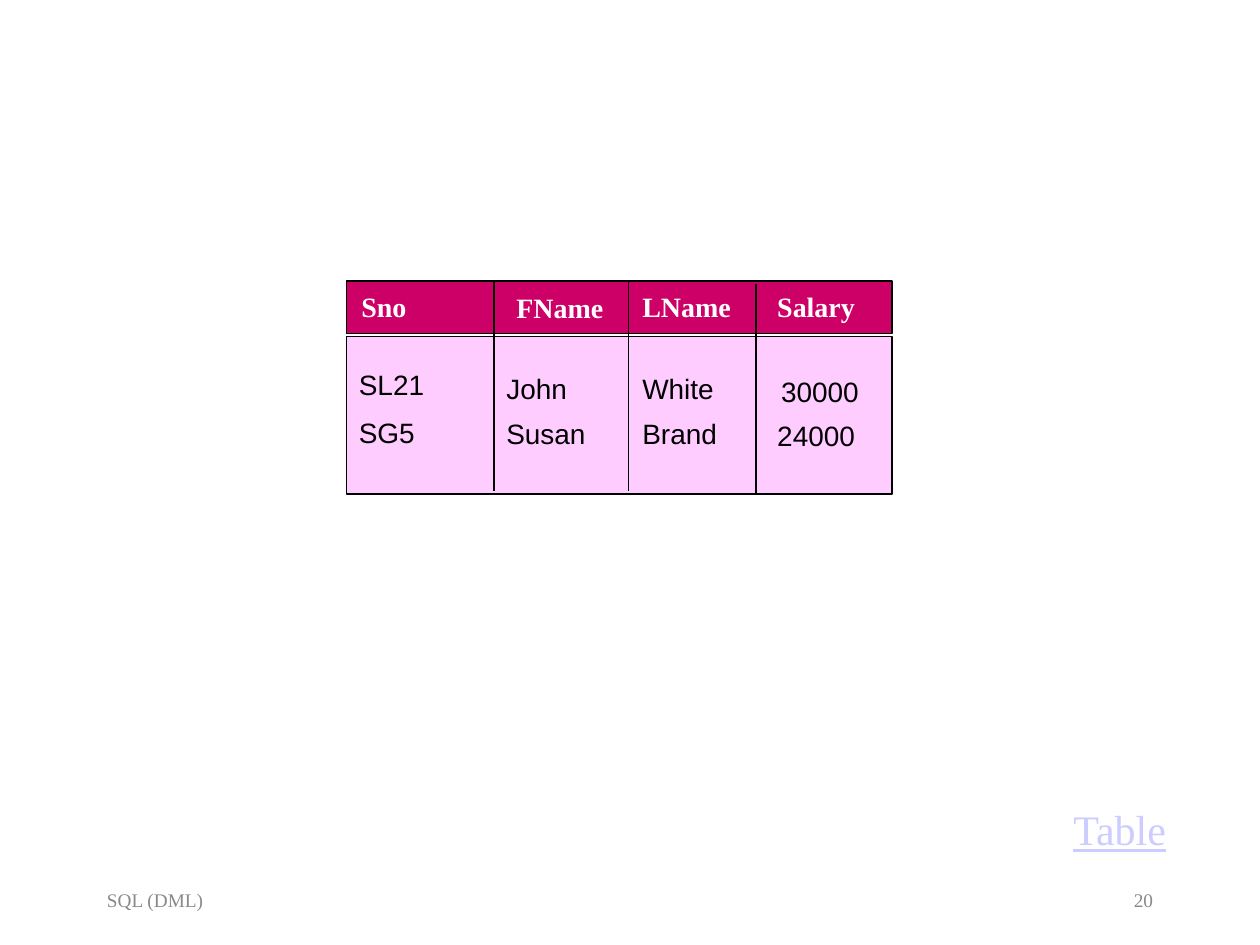
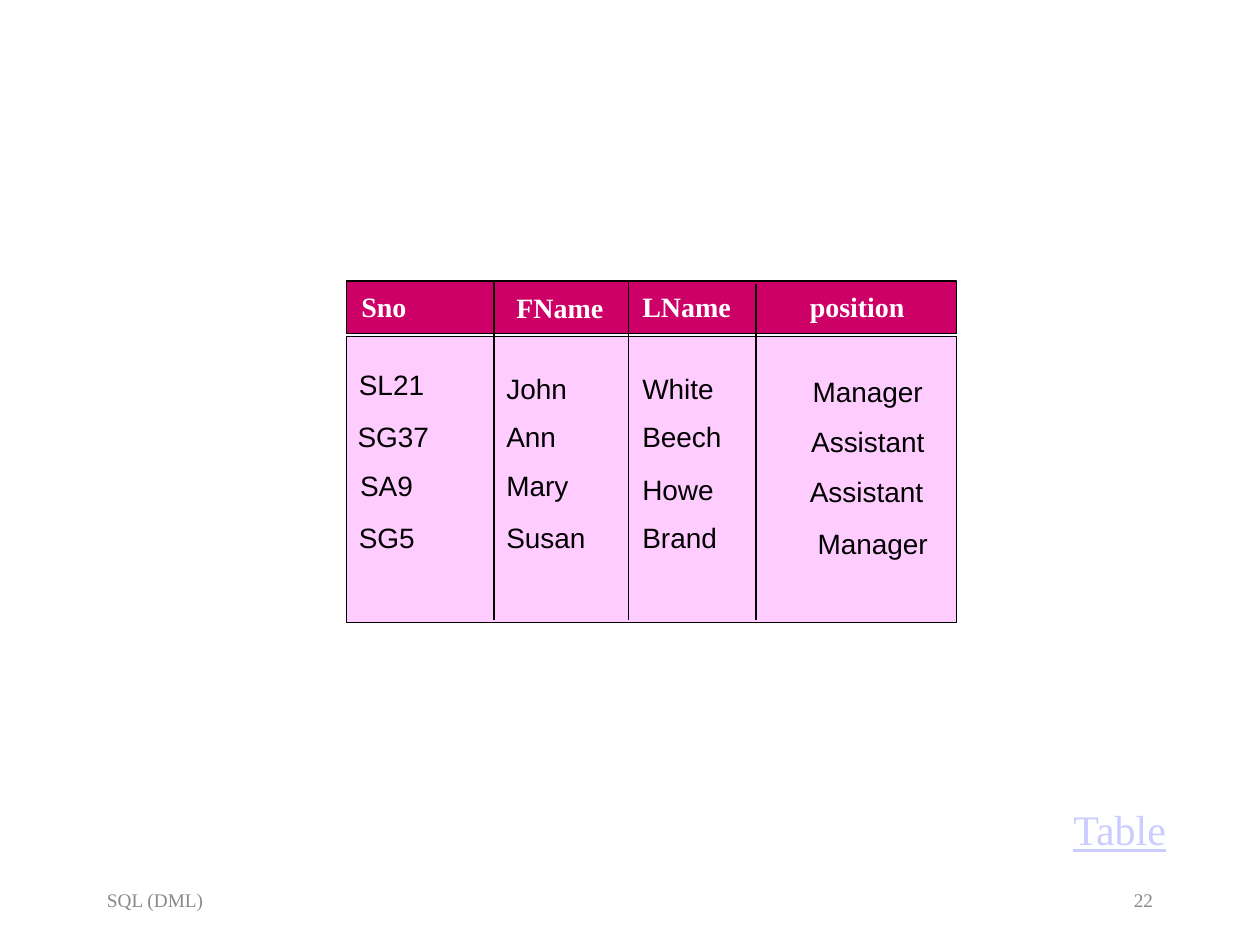
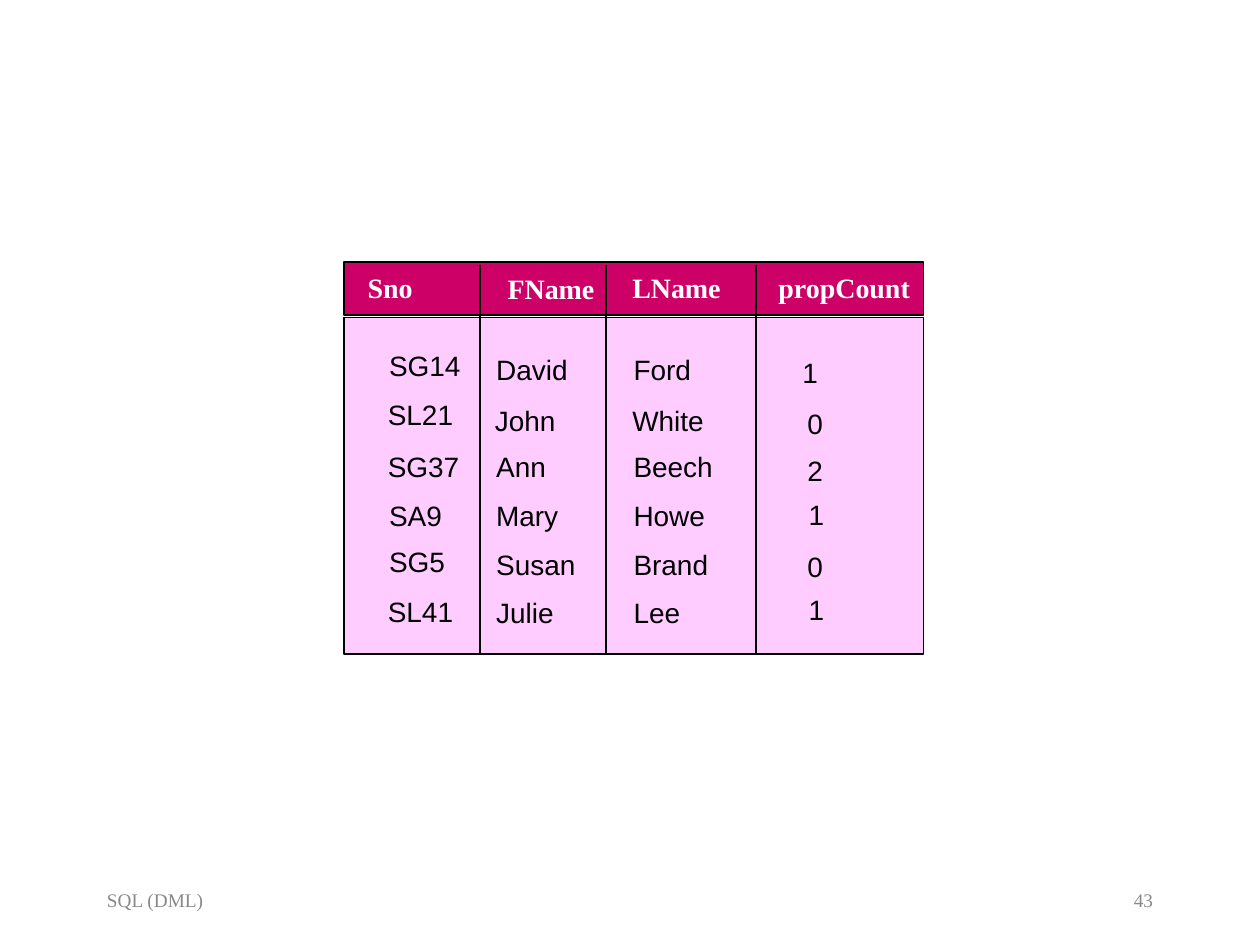
from pptx import Presentation
from pptx.dml.color import RGBColor
from pptx.enum.shapes import MSO_CONNECTOR, MSO_SHAPE
from pptx.enum.text import MSO_AUTO_SIZE, PP_ALIGN
from pptx.oxml.ns import qn
from pptx.util import Inches, Pt
from lxml import etree

STRAIGHT = MSO_CONNECTOR.STRAIGHT
RECTANGLE = MSO_SHAPE.RECTANGLE
GROW = MSO_AUTO_SIZE.SHAPE_TO_FIT_TEXT
LEFT, RIGHT = PP_ALIGN.LEFT, PP_ALIGN.RIGHT
SERIF, SANS = "Times New Roman", "Arial"
BLACK, WHITE, GREY = "000000", "FFFFFF", "898989"
MAGENTA, PINK, LAVENDER = "CC0066", "FFCCFF", "CCCCFF"
HEADER_HEIGHT, HEADER_GAP, LABEL_HEIGHT = 0.42, 0.02, 0.37

LABEL_WIDTHS = {
    "Sno": 0.56, "FName": 0.89, "LName": 0.9, "Salary": 0.82,
    "position": 0.96, "propCount": 1.25,
    "SL21": 0.72, "SL41": 0.72, "SG14": 0.77, "SG37": 0.77, "SA9": 0.62, "SG5": 0.65,
    "David": 0.77, "John": 0.68, "Ann": 0.6, "Mary": 0.7, "Susan": 0.83, "Julie": 0.66,
    "Ford": 0.66, "White": 0.77, "Beech": 0.83, "Howe": 0.77, "Brand": 0.79, "Lee": 0.57,
    "30000": 0.82, "24000": 0.82, "Manager": 1.08, "Assistant": 1.1,
    "0": 0.32, "1": 0.32, "2": 0.32,
}


def color(code):
    return RGBColor.from_string(code)


class Deck:
    """Holds the shared style and the slide being drawn."""

    def __init__(self):
        self.deck = Presentation()
        self.deck.slide_width = Inches(10)
        self.deck.slide_height = Inches(7.5)
        self.page = None

    def new_page(self, number):
        self.page = self.deck.slides.add_slide(self.deck.slide_layouts[6])
        self.text("SQL (DML)", 0.75, 7, 2.08, 0.5, 11, SERIF, GREY)
        self.text(number, 7.17, 7, 2.08, 0.5, 11, SERIF, GREY, align=RIGHT)

    def text(self, words, left, top, width, height, size, font, ink,
             align=LEFT, bold=False, underline=False, wrap=True, grow=False):
        box = self.page.shapes.add_textbox(
            Inches(left), Inches(top), Inches(width), Inches(height))
        frame = box.text_frame
        frame.word_wrap = wrap
        if grow:
            frame.auto_size = GROW
        para = frame.paragraphs[0]
        para.alignment = align
        span = para.add_run()
        span.text = words
        span.font.size = Pt(size)
        span.font.name = font
        span.font.bold = bold
        span.font.underline = underline
        span.font.color.rgb = color(ink)

    def label(self, words, left, top, header=False):
        font, ink = (SERIF, WHITE) if header else (SANS, BLACK)
        self.text(words, left, top, LABEL_WIDTHS[words], LABEL_HEIGHT, 16,
                  font, ink, bold=header, wrap=False, grow=True)

    def band(self, left, top, width, height, fill):
        shape = self.page.shapes.add_shape(
            RECTANGLE, Inches(left), Inches(top), Inches(width), Inches(height))
        shape.shadow.inherit = False
        shape.fill.solid()
        shape.fill.fore_color.rgb = color(fill)
        shape.line.color.rgb = color(BLACK)
        shape.line.width = Pt(0.75)

    def divider(self, x, *stops):
        for start, end in zip(stops, stops[1:]):
            line = self.page.shapes.add_connector(
                STRAIGHT, Inches(x), Inches(start), Inches(x), Inches(end))
            line.line.color.rgb = color(BLACK)
            line.line.width = Pt(0.75)
            etree.SubElement(line._element.spPr, qn("a:effectLst"))

    def grid(self, left, top, width, body_height, dividers):
        body_top = top + HEADER_HEIGHT + HEADER_GAP
        self.band(left, body_top, width, body_height, PINK)
        self.band(left, top, width, HEADER_HEIGHT, MAGENTA)
        for x, *stops in dividers:
            self.divider(x, *stops)

    def column(self, header, header_left, header_top, left, cells):
        self.label(header, header_left, header_top, header=True)
        for words, top, *nudge in cells:
            self.label(words, left + sum(nudge), top)

    def staff_names(self, numbers, first_names, last_names):
        self.column("Sno", 2.77, 2.25, 2.75, numbers)
        self.column("FName", 4, 2.26, 3.92, first_names)
        self.column("LName", 5, 2.25, 5, last_names)

    def table_link(self):
        self.text("Table", 8.42, 6.33, 1.17, 0.51, 24, SERIF, LAVENDER,
                  underline=True, grow=True)


show = Deck()

show.new_page("20")
show.grid(2.75, 2.23, 4.33, 1.25,
          [(3.92, 2.23, 2.65, 3.9), (4.99, 2.23, 2.65, 3.9), (6, 2.25, 3.92)])
show.staff_names([("SL21", 2.87), ("SG5", 3.25)],
                 [("John", 2.9), ("Susan", 3.26)],
                 [("White", 2.9), ("Brand", 3.26)])
show.column("Salary", 6.07, 2.25, 6.07, [("30000", 2.92, 0.03), ("24000", 3.27)])
show.table_link()

show.new_page("22")
show.grid(2.75, 2.23, 4.84, 2.27,
          [(3.92, 2.23, 2.65, 4.92), (4.99, 2.23, 2.65, 4.92), (6, 2.25, 4.92)])
show.staff_names(
    [("SL21", 2.87), ("SG37", 3.28, -0.01), ("SA9", 3.67, 0.01), ("SG5", 4.08)],
    [("John", 2.9), ("Ann", 3.28), ("Mary", 3.67), ("Susan", 4.08)],
    [("White", 2.9), ("Beech", 3.28), ("Howe", 3.7), ("Brand", 4.08)])
show.column("position", 6.33, 2.25, 6.34,
            [("Manager", 2.92, 0.01), ("Assistant", 3.32),
             ("Assistant", 3.72, -0.01), ("Manager", 4.13, 0.05)])
show.table_link()

show.new_page("43")
show.grid(2.73, 2.08, 4.6, 2.67, [(x, 2.1, 5.18) for x in (3.81, 4.81, 6)])
show.column("Sno", 2.82, 2.1, 2.98,
            [("SG14", 2.72, 0.01), ("SL21", 3.11), ("SG37", 3.52),
             ("SA9", 3.91, 0.01), ("SG5", 4.27, 0.01), ("SL41", 4.67)])
show.column("FName", 3.93, 2.11, 3.84,
            [("David", 2.75), ("John", 3.15, -0.01), ("Ann", 3.52),
             ("Mary", 3.91), ("Susan", 4.3), ("Julie", 4.68)])
show.column("LName", 4.92, 2.1, 4.93,
            [("Ford", 2.75), ("White", 3.15, -0.01), ("Beech", 3.52),
             ("Howe", 3.91), ("Brand", 4.3), ("Lee", 4.68)])
show.column("propCount", 6.08, 2.1, 6.31,
            [("1", 2.77, -0.04), ("0", 3.18), ("2", 3.55),
             ("1", 3.9, 0.01), ("0", 4.31), ("1", 4.65, 0.01)])

show.deck.save("out.pptx")
